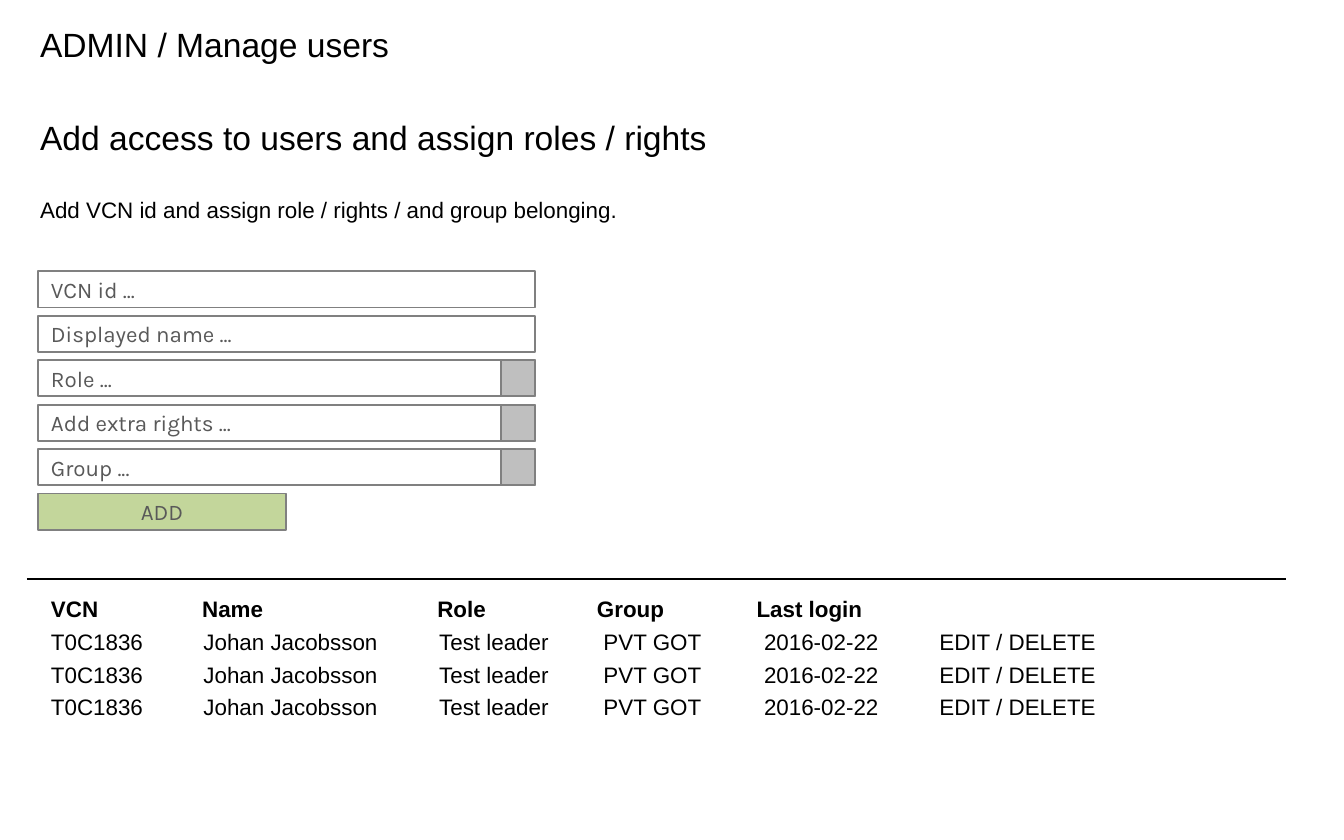
from dataclasses import dataclass

from lxml import etree
from pptx import Presentation
from pptx.dml.color import RGBColor
from pptx.enum.shapes import MSO_CONNECTOR, MSO_SHAPE
from pptx.enum.text import MSO_ANCHOR, MSO_AUTO_SIZE, PP_ALIGN
from pptx.oxml.ns import qn
from pptx.shapes.autoshape import Shape
from pptx.slide import Slide
from pptx.util import Pt

RECTANGLE = MSO_SHAPE.RECTANGLE
STRAIGHT = MSO_CONNECTOR.STRAIGHT
MIDDLE = MSO_ANCHOR.MIDDLE
GROW = MSO_AUTO_SIZE.SHAPE_TO_FIT_TEXT
LEFT, CENTER = PP_ALIGN.LEFT, PP_ALIGN.CENTER


@dataclass(frozen=True)
class Theme:
    text: RGBColor = RGBColor(0x00, 0x00, 0x00)
    hint: RGBColor = RGBColor(0x59, 0x59, 0x59)
    border: RGBColor = RGBColor(0x80, 0x80, 0x80)
    field: RGBColor = RGBColor(0xFF, 0xFF, 0xFF)
    dropdown: RGBColor = RGBColor(0xBF, 0xBF, 0xBF)
    button: RGBColor = RGBColor(0xC3, 0xD6, 0x9B)
    body_font: str = "Arial"
    form_font: str = "Karla"
    title_size: float = 18
    body_size: float = 12


@dataclass(frozen=True)
class Line:
    text: str
    size: float
    bold: bool = False
    space_before: float = 0
    tabs: tuple[float, ...] = ()


@dataclass(frozen=True)
class Field:
    label: str
    dropdown: bool = False


THEME = Theme()

# Form layout, in points
FORM_LEFT, FORM_TOP, FORM_PITCH = 20.2, 145.4, 23.8
FIELD_WIDTH, FIELD_HEIGHT = 266.4, 19.4
DROPDOWN_WIDTH = 18
FIELDS = [
    Field("VCN id ..."),
    Field("Displayed name ..."),
    Field("Role ...", dropdown=True),
    Field("Add extra rights ...", dropdown=True),
    Field("Group ...", dropdown=True),
]

# User list layout, in points
LIST_TOP, LIST_PITCH = 315.4, 17.5
HEADER_TABS = (81, 207, 292.5, 378)
USER_TABS = (81.7, 208, 296, 382, 476)
HEADER = ("VCN", "Name", "Role", "Group", "Last login")
USER = ("T0C1836", "Johan Jacobsson", "Test leader", "PVT GOT",
        "2016-02-22", "EDIT / DELETE")
USER_COUNT = 3


def add_text(page: Slide, left: float, top: float, width: float,
             height: float, lines: list[Line]) -> None:
    box = page.shapes.add_textbox(Pt(left), Pt(top), Pt(width), Pt(height))
    frame = box.text_frame
    frame.word_wrap = True
    frame.auto_size = GROW
    frame.text = "\n".join(line.text for line in lines)
    for para, line in zip(frame.paragraphs, lines):
        if line.space_before:
            para.space_before = Pt(line.space_before)
        if line.tabs:
            stops = etree.SubElement(para._p.get_or_add_pPr(), qn("a:tabLst"))
            for position in line.tabs:
                etree.SubElement(stops, qn("a:tab"),
                                 pos=str(Pt(position)), algn="l")
        for span in para.runs:
            span.font.name = THEME.body_font
            span.font.size = Pt(line.size)
            span.font.bold = line.bold
            span.font.color.rgb = THEME.text


def add_box(page: Slide, left: float, top: float, width: float,
            fill: RGBColor) -> Shape:
    box = page.shapes.add_shape(RECTANGLE, Pt(left), Pt(top),
                                Pt(width), Pt(FIELD_HEIGHT))
    box.shadow.inherit = False
    box.fill.solid()
    box.fill.fore_color.rgb = fill
    box.line.color.rgb = THEME.border
    box.line.width = Pt(1)
    return box


def label_box(box: Shape, text: str, align: PP_ALIGN) -> None:
    frame = box.text_frame
    frame.text = text
    frame.vertical_anchor = MIDDLE
    para = frame.paragraphs[0]
    para.alignment = align
    font = para.runs[0].font
    font.name = THEME.form_font
    font.size = Pt(THEME.body_size)
    font.color.rgb = THEME.hint


def add_form(page: Slide) -> None:
    for index, field in enumerate(FIELDS):
        top = FORM_TOP + index * FORM_PITCH
        box = add_box(page, FORM_LEFT, top, FIELD_WIDTH, THEME.field)
        label_box(box, field.label, LEFT)
        if field.dropdown:
            add_box(page, FORM_LEFT + FIELD_WIDTH - DROPDOWN_WIDTH, top,
                    DROPDOWN_WIDTH, THEME.dropdown)
    button = add_box(page, FORM_LEFT, FORM_TOP + len(FIELDS) * FORM_PITCH,
                     FIELD_WIDTH / 2, THEME.button)
    label_box(button, "ADD", CENTER)


def add_divider(page: Slide, left: float, right: float, top: float) -> None:
    divider = page.shapes.add_connector(STRAIGHT, Pt(left), Pt(top),
                                        Pt(right), Pt(top))
    divider.line.color.rgb = THEME.text
    divider.line.width = Pt(0.75)
    etree.SubElement(divider._element.spPr, qn("a:effectLst"))


def add_user_list(page: Slide) -> None:
    rows = [Line("\t".join(HEADER), THEME.body_size, True, tabs=HEADER_TABS)]
    rows += [Line("\t".join(USER), THEME.body_size, tabs=USER_TABS)] * USER_COUNT
    for index, row in enumerate(rows):
        add_text(page, FORM_LEFT, LIST_TOP + index * LIST_PITCH, 663, 21.8, [row])


def main() -> None:
    deck = Presentation()
    deck.slide_width, deck.slide_height = Pt(720), Pt(450)
    page = deck.slides.add_slide(deck.slide_layouts[6])

    # Headings
    add_text(page, 14.4, 9.4, 340, 29,
             [Line("ADMIN / Manage users", THEME.title_size)])
    add_text(page, 14.4, 59, 686, 65.5, [
        Line("Add access to users and assign roles / rights", THEME.title_size),
        Line("Add VCN id and assign role / rights / and group belonging.",
             THEME.body_size, space_before=20.7),
    ])

    # Form for a new user
    add_form(page)

    # Existing users
    add_divider(page, 14.4, 689, 310.2)
    add_user_list(page)

    deck.save("out.pptx")


if __name__ == "__main__":
    main()
